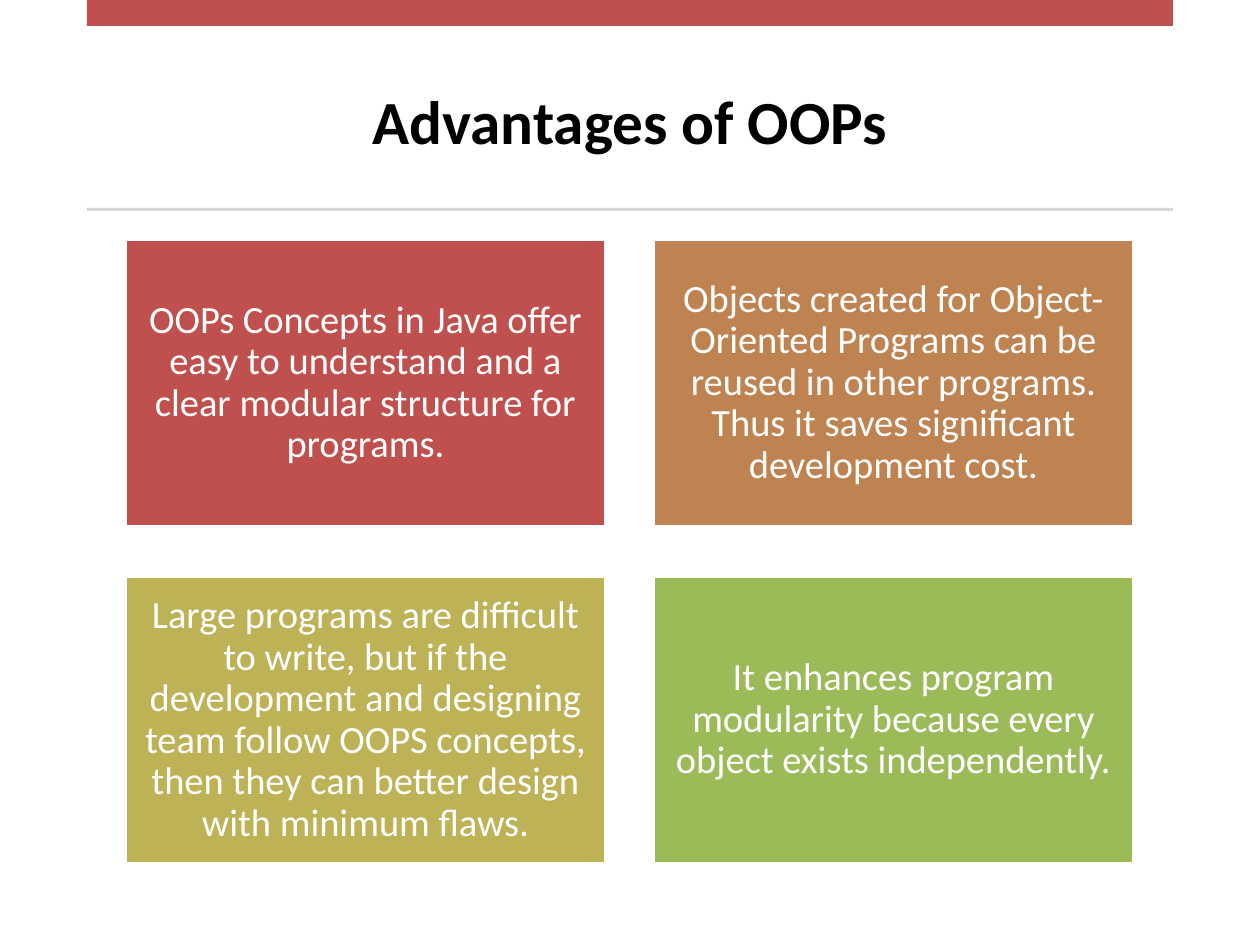
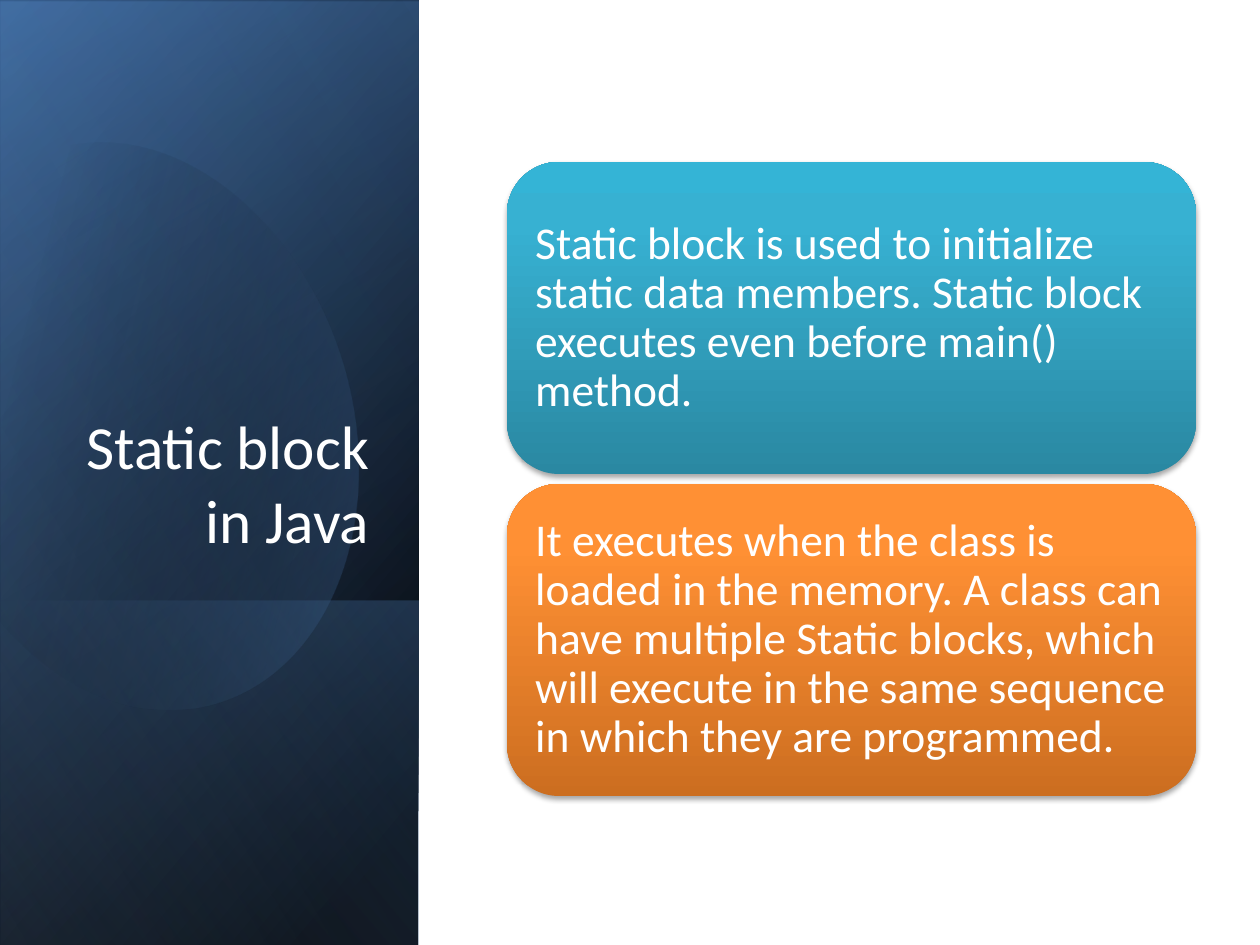
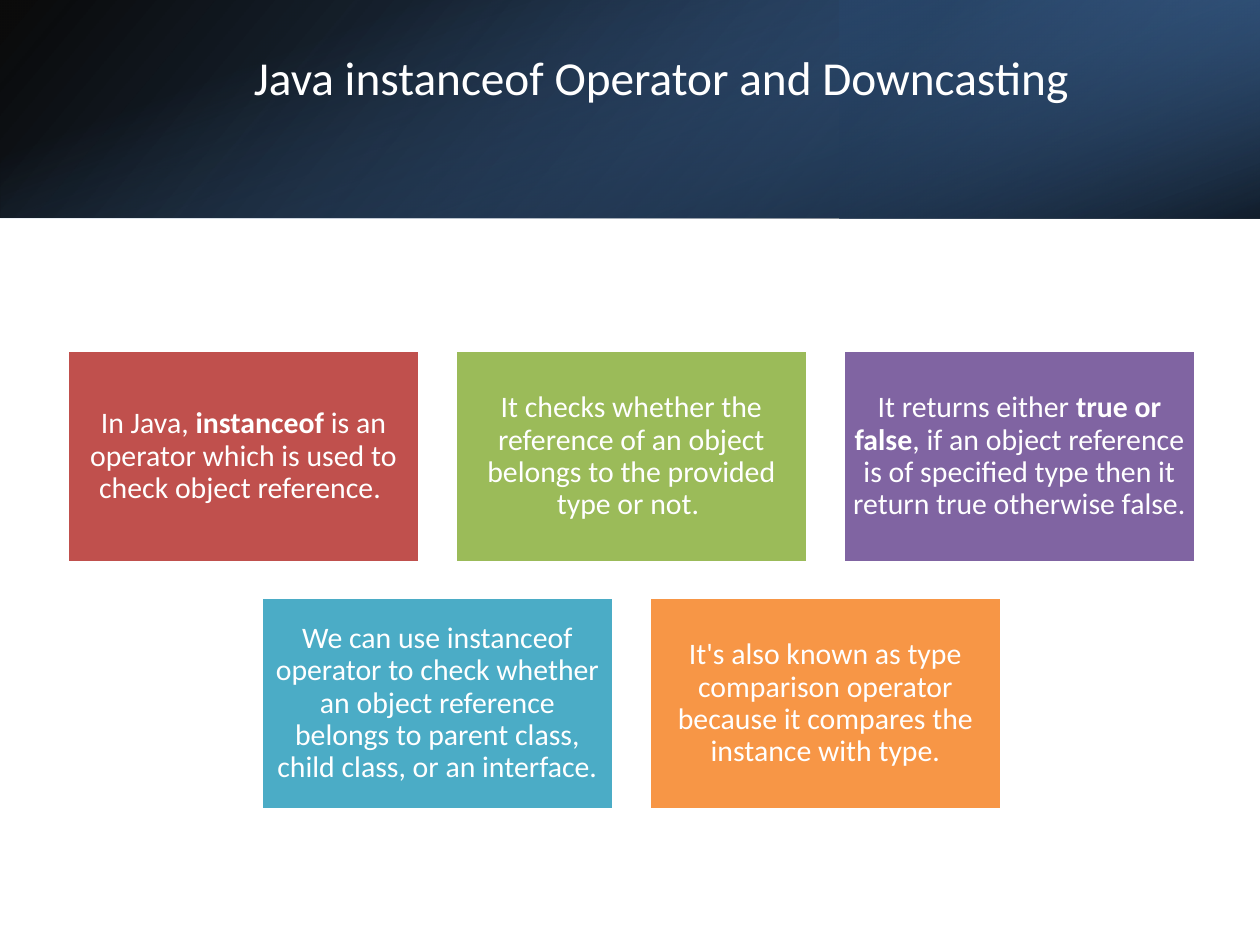
from lxml.etree import SubElement
from pptx import Presentation
from pptx.dml.color import RGBColor
from pptx.enum.shapes import MSO_SHAPE
from pptx.enum.text import MSO_ANCHOR, MSO_AUTO_SIZE, PP_ALIGN
from pptx.oxml.ns import qn
from pptx.util import Pt

PX = 914400 / 126
FONT = "Calibri"
BLACK = RGBColor(0x00, 0x00, 0x00)
WHITE = RGBColor(0xFF, 0xFF, 0xFF)
RED = RGBColor(0xC0, 0x50, 0x4D)
BROWN = RGBColor(0xBE, 0x83, 0x51)
OLIVE = RGBColor(0xBD, 0xB2, 0x55)
GREEN = RGBColor(0x9B, 0xBB, 0x59)
PURPLE = RGBColor(0x80, 0x64, 0xA2)
TEAL = RGBColor(0x4B, 0xAC, 0xC6)
ORANGE = RGBColor(0xF7, 0x96, 0x46)
GREY = RGBColor(0xD5, 0xD5, 0xD5)
BLUE = RGBColor(0x4F, 0x81, 0xBD)
PALE_BLUE = RGBColor(0x95, 0xB3, 0xD7)
DEEP_BLUE = RGBColor(0x37, 0x60, 0x92)
NAVY = RGBColor(0x25, 0x40, 0x61)
TEAL_STOPS = [(0, RGBColor(0x2A, 0x88, 0xA2), 100),
              (80, RGBColor(0x37, 0xB1, 0xD2), 100),
              (100, RGBColor(0x34, 0xB4, 0xD6), 100)]
ORANGE_STOPS = [(0, RGBColor(0xCC, 0x6E, 0x20), 100),
                (80, RGBColor(0xFF, 0x90, 0x34), 100),
                (100, RGBColor(0xFF, 0x91, 0x36), 100)]


def set_gradient(shape, angle, stops):
    """Fill with (position, colour, opacity) stops; the angle runs clockwise."""
    shape.fill.gradient()
    shape.fill.gradient_angle = 360 - angle
    stop_list = shape._element.spPr.find(qn("a:gradFill")).find(qn("a:gsLst"))
    for old_stop in list(stop_list):
        stop_list.remove(old_stop)
    for position, color, opacity in stops:
        stop = SubElement(stop_list, qn("a:gs"), pos=str(position * 1000))
        rgb = SubElement(stop, qn("a:srgbClr"), val=str(color))
        SubElement(rgb, qn("a:alpha"), val=str(opacity * 1000))


def add_block(slide, box, fill, preset=MSO_SHAPE.RECTANGLE, angle=0, rotation=0, flip=False):
    """Add a borderless shape whose fill is one colour or a list of stops."""
    block = slide.shapes.add_shape(preset, *[round(n * PX) for n in box])
    block.shadow.inherit = False
    block.line.fill.background()
    block.rotation = rotation
    if flip:
        block._element.spPr.find(qn("a:xfrm")).set("flipH", "1")
    if isinstance(fill, list):
        set_gradient(block, angle, fill)
    else:
        block.fill.solid()
        block.fill.fore_color.rgb = fill
    return block


prs = Presentation()
prs.slide_width, prs.slide_height = round(1260 * PX), round(945 * PX)
advantages, static_block, downcasting = [
    prs.slides.add_slide(prs.slide_layouts[5]) for _ in range(3)]

# Bands behind the titles
add_block(advantages, (87, 0, 1086, 26), RED)
add_block(advantages, (87, 208, 1086, 3), GREY)

SIDE_PANEL = (-263, 263, 945, 418)
for box, angle, stops in [
    (SIDE_PANEL, 50, [(8, BLACK, 100), (100, DEEP_BLUE, 100)]),
    ((-263, 265, 945, 418), 30, [(0, BLACK, 0), (99, BLUE, 46)]),
    ((37, 564, 345, 418), 130, [(2, BLUE, 29), (100, BLACK, 30)]),
]:
    add_block(static_block, box, stops, angle=angle, rotation=90, flip=True)

# Rounded glow: a segment of three points is a curve, of one point a line
glow_start = (251, 13)
glow_segments = [
    [(338, 49), (402, 159), (403, 288)],
    [(403, 447), (306, 576), (186, 576)],
    [(112, 576), (47, 526), (8, 449)],
    [(0, 431)],
    [(87, 34)],
    [(102, 23)],
    [(129, 8), (157, 0), (188, 0)],
    [(210, 0), (231, 5), glow_start],
]
outline = static_block.shapes.build_freeform(*glow_start, scale=PX)
outline.add_line_segments([segment[-1] for segment in glow_segments])
glow = outline.convert_to_shape(round(-52 * PX), round(134 * PX))
for line, segment in zip(list(glow._element.spPr.iter(qn("a:lnTo"))), glow_segments):
    if len(segment) == 3:
        line.tag = qn("a:cubicBezTo")
        for control, (x, y) in enumerate(segment[:2]):
            point = SubElement(line, qn("a:pt"), x=str(x), y=str(y))
            line.insert(control, point)
glow.shadow.inherit = False
glow.line.fill.background()
glow.rotation = 343.9
set_gradient(glow, 30, [(29, BLACK, 0), (100, BLUE, 43)])

add_block(static_block, SIDE_PANEL, [(0, BLACK, 0), (99, PALE_BLUE, 11)],
          angle=120, rotation=90, flip=True)

for box, angle, rotation, flip, stops in [
    ((0, 0, 1260, 218), 140, 0, True, [(0, BLACK, 96), (100, DEEP_BLUE, 100)]),
    ((840, 0, 420, 218), 320, 180, True, [(19, NAVY, 68), (100, BLUE, 79)]),
    ((521, -521, 218, 1260), 340, 90, False, [(23, BLUE, 0), (99, BLACK, 74)]),
]:
    add_block(downcasting, box, stops, angle=angle, rotation=rotation, flip=flip)

# Titles, placed in front of the bands
for slide, text, box, anchor, align, spacing, font in [
    (advantages, "Advantages of OOPs", (87, 46, 1086, 149), MSO_ANCHOR.MIDDLE,
     PP_ALIGN.CENTER, 1.0, {"size": Pt(35), "bold": True, "color": BLACK}),
    (static_block, "Static block in Java", (59, 232, 323, 330), MSO_ANCHOR.BOTTOM,
     PP_ALIGN.RIGHT, 1.0, {"size": Pt(35), "bold": False, "color": WHITE}),
    (downcasting, "Java instanceof Operator and Downcasting", (142, 48, 1038, 121),
     MSO_ANCHOR.TOP, PP_ALIGN.CENTER, 0.9, {"size": Pt(27), "bold": False, "color": WHITE}),
]:
    title = slide.shapes.title
    slide.shapes._spTree.append(title._element)
    title.left, title.top, title.width, title.height = [round(n * PX) for n in box]
    frame = title.text_frame
    frame.text = text
    frame.auto_size = MSO_AUTO_SIZE.NONE
    frame.vertical_anchor = anchor
    paragraph = frame.paragraphs[0]
    paragraph.alignment = align
    paragraph.line_spacing = spacing
    run_font = paragraph.runs[0].font
    run_font.name = FONT
    run_font.size, run_font.bold, run_font.color.rgb = font.values()

# Cards: text between ** marks is bold
advantage_cards = [
    (RED, "OOPs Concepts in Java offer easy to understand and a clear modular structure "
          "for programs."),
    (BROWN, "Objects created for Object-Oriented Programs can be reused in other programs. "
            "Thus it saves significant development cost."),
    (OLIVE, "Large programs are difficult to write, but if the development and designing team "
            "follow OOPS concepts, then they can better design with minimum flaws."),
    (GREEN, "It enhances program modularity because every object exists independently."),
]
static_cards = [
    (TEAL_STOPS, "Static block is used to initialize static data members. Static block "
                 "executes even before main() method."),
    (ORANGE_STOPS, "It executes when the class is loaded in the memory. A class can have "
                   "multiple Static blocks, which will execute in the same sequence in which "
                   "they are programmed."),
]
instanceof_cards = [
    (RED, "In Java, **instanceof **is an operator which is used to check object reference. "),
    (GREEN, "It checks whether the reference of an object belongs to the provided type "
            "or not. "),
    (PURPLE, "It returns either **true or false**, if an object reference is of specified "
             "type then it return true otherwise false."),
    (TEAL, "We can use instanceof operator to check whether an object reference belongs to "
           "parent class, child class, or an interface."),
    (ORANGE, "It's also known as type comparison operator because it compares the instance "
             "with type."),
]
SQUARE, ROUND = MSO_SHAPE.RECTANGLE, MSO_SHAPE.ROUNDED_RECTANGLE
for slide, cards, columns, (left, top), (width, height), (x_step, y_step), preset, size, margin in [
    (advantages, advantage_cards, 2, (125, 239), (481, 288), (528, 337), SQUARE, 22, 11),
    (static_block, static_cards, 1, (507, 162), (689, 312), (0, 322), ROUND, 26, 13),
    (downcasting, instanceof_cards, 3, (67, 350), (353, 213), (388, 247), SQUARE, 17, 9),
]:
    for index, (fill, text) in enumerate(cards):
        row, column = divmod(index, columns)
        row_length = min(columns, len(cards) - row * columns)
        indent = (columns - row_length) * x_step // 2
        box = (left + indent + column * x_step, top + row * y_step, width, height)
        card = add_block(slide, box, fill, preset, angle=270)
        if preset == ROUND:
            effects = card._element.spPr.find(qn("a:effectLst"))
            shadow = SubElement(effects, qn("a:outerShdw"), blurRad="40000", dist="23000",
                                dir="5400000", rotWithShape="0")
            shade = SubElement(shadow, qn("a:srgbClr"), val=str(BLACK))
            SubElement(shade, qn("a:alpha"), val="35000")
        else:
            card.line.color.rgb = WHITE
            card.line.width = Pt(2)
        frame = card.text_frame
        frame.word_wrap = True
        frame.vertical_anchor = MSO_ANCHOR.MIDDLE
        for side in ("left", "top", "right", "bottom"):
            setattr(frame, f"margin_{side}", round(margin * PX))
        paragraph = frame.paragraphs[0]
        paragraph.alignment = PP_ALIGN.LEFT if preset == ROUND else PP_ALIGN.CENTER
        paragraph.line_spacing = 0.9
        for part, words in enumerate(text.split("**")):
            run = paragraph.add_run()
            run.text = words
            run.font.color.rgb = WHITE
            for name, value in {"name": FONT, "size": Pt(size), "bold": part % 2 == 1}.items():
                setattr(run.font, name, value)

prs.save("out.pptx")
